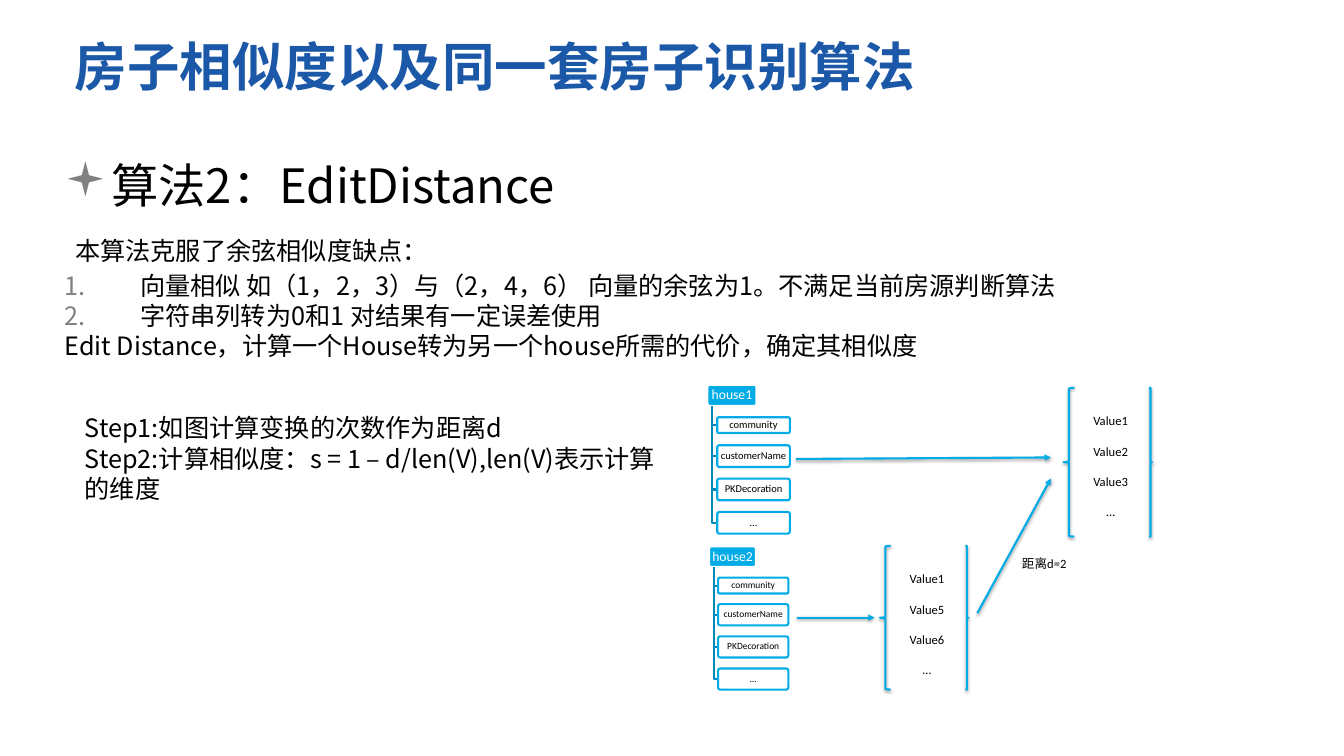
from lxml import etree
from pptx import Presentation
from pptx.dml.color import RGBColor
from pptx.enum.shapes import MSO_CONNECTOR, MSO_SHAPE
from pptx.enum.text import MSO_ANCHOR, PP_ALIGN
from pptx.oxml.ns import qn
from pptx.util import Cm, Pt

STRAIGHT = MSO_CONNECTOR.STRAIGHT
ROUNDED = MSO_SHAPE.ROUNDED_RECTANGLE
LEFT_BRACE, RIGHT_BRACE = MSO_SHAPE.LEFT_BRACE, MSO_SHAPE.RIGHT_BRACE
MIDDLE, CENTER = MSO_ANCHOR.MIDDLE, PP_ALIGN.CENTER

CHINESE_FONT, LATIN_FONT, BULLET_FONT = "Noto Sans CJK SC", "Calibri", "Wingdings"
CYAN, DARK_CYAN, BLUE = "00ABE6", "0089B8", "1B58A8"
BLACK, WHITE, GRAY = "000000", "FFFFFF", "808080"
FIELDS = ["community", "customerName", "PKDecoration", "…"]


def color(value):
    return RGBColor.from_string(value)


def child(parent, tag, **attributes):
    return etree.SubElement(parent, qn(tag), attributes)


def style_font(font, size, name=CHINESE_FONT, fill=BLACK, bold=False):
    font.size, font.name, font.bold = Pt(size), name, bold
    font.color.rgb = color(fill)
    child(font._element, "a:ea", typeface=CHINESE_FONT)


def set_line(shape, value):
    shape.line.color.rgb = color(value)
    shape.line.width = Pt(2)


def set_effects(shape, shadow=False):
    """Replace the theme shadow with none, or with a soft one below."""
    properties = shape._element.spPr
    effects = properties.find(qn("a:effectLst"))
    if effects is None:
        effects = child(properties, "a:effectLst")
    if shadow:
        outer = child(effects, "a:outerShdw", blurRad=str(Pt(3.1)), dist=str(Pt(1.6)),
                      dir="5400000", rotWithShape="0")
        child(child(outer, "a:srgbClr", val=BLACK), "a:alpha", val="38000")


def set_indent(paragraph, left, first=0):
    properties = paragraph._p.get_or_add_pPr()
    properties.set("marL", str(Cm(left)))
    properties.set("indent", str(Cm(first)))


def set_bullet(paragraph, tag, typeface, **attributes):
    properties = paragraph._p.get_or_add_pPr()
    bullet_color = etree.Element(qn("a:buClr"))
    child(bullet_color, "a:srgbClr", val=GRAY)
    bullet_font = etree.Element(qn("a:buFont"), typeface=typeface)
    bullet = etree.Element(qn(tag), attributes)
    default_run = properties.find(qn("a:defRPr"))
    for element in (bullet_color, bullet_font, bullet):
        default_run.addprevious(element)


def add_text(slide, box, lines, size, name=CHINESE_FONT, fill=BLACK, bold=False,
             spacing=1.0, alignment=None, indent=0, wrap=True):
    frame = slide.shapes.add_textbox(*map(Cm, box)).text_frame
    frame.word_wrap = wrap
    frame.text = "\n".join(lines)
    for paragraph in frame.paragraphs:
        paragraph.line_spacing, paragraph.alignment = spacing, alignment
        set_indent(paragraph, indent)
        style_font(paragraph.font, size, name, fill, bold)
    return frame


def add_body(slide):
    frame = add_text(slide, (1.83, 5.26, 41.07, 18.72), [
        "算法2：EditDistance",
        "",
        "向量相似 如（1，2，3）与（2，4，6） 向量的余弦为1。不满足当前房源判断算法",
        "字符串列转为0和1 对结果有一定误差使用",
        "Edit Distance，计算一个House转为另一个house所需的代价，确定其相似度",
    ], 24, indent=0.34)
    frame.margin_left = frame.margin_top = frame.margin_right = frame.margin_bottom = 0
    heading, introduction, *numbered, _ = frame.paragraphs

    heading.font.size = Pt(45)
    set_indent(heading, 1.88, -1.55)
    set_bullet(heading, "a:buChar", BULLET_FONT, char="▪")
    # The introduction opens with a wide space
    for text, size in ((" ", 45), ("本算法克服了余弦相似度缺点：", 24)):
        run = introduction.add_run()
        run.text = text
        style_font(run.font, size)
    for paragraph in numbered:
        set_indent(paragraph, 2.88, -2.54)
        set_bullet(paragraph, "a:buAutoNum", CHINESE_FONT, type="arabicPeriod")


def add_node(slide, box, text, size, fill, line, text_color):
    shape = slide.shapes.add_shape(ROUNDED, *map(Cm, box))
    shape.adjustments[0] = 0.1
    shape.fill.solid()
    shape.fill.fore_color.rgb = color(fill)
    set_line(shape, line)
    set_effects(shape)
    frame = shape.text_frame
    frame.margin_left = frame.margin_right = Cm(0.05)
    frame.margin_top = frame.margin_bottom = Cm(0.03)
    frame.vertical_anchor, frame.word_wrap = MIDDLE, False
    frame.text = text
    paragraph = frame.paragraphs[0]
    paragraph.alignment, paragraph.line_spacing = CENTER, 0.9
    style_font(paragraph.font, size, LATIN_FONT, text_color)


def add_branch(slide, trunk, top, right, middle):
    builder = slide.shapes.build_freeform(Cm(trunk), Cm(top))
    builder.add_line_segments([(Cm(trunk), Cm(middle)), (Cm(right), Cm(middle))], close=False)
    branch = builder.convert_to_shape()
    branch.fill.background()
    set_line(branch, DARK_CYAN)
    set_effects(branch)


def add_tree(slide, name, root, left, width, first_top, second_top, height, pitch, size):
    """Draw a house with its fields; the first field is a lower box."""
    add_node(slide, root, name, 13, CYAN, WHITE, WHITE)
    for index, field in enumerate(FIELDS):
        if index == 0:
            top, field_height = first_top, 0.53
        else:
            top, field_height = second_top + (index - 1) * pitch, height
        add_branch(slide, root[0] + 0.15, root[1] + root[3], left, top + field_height / 2)
        add_node(slide, (left, top, width, field_height), field, size, WHITE, CYAN, BLACK)


def add_vector(slide, left, top, height, values):
    for preset, offset, width in ((LEFT_BRACE, 0, 0.36), (RIGHT_BRACE, 2.87, 0.1)):
        brace = slide.shapes.add_shape(preset, Cm(left + offset), Cm(top), Cm(width), Cm(height))
        brace.fill.background()
        set_line(brace, CYAN)
        set_effects(brace, shadow=True)
    add_text(slide, (left + 0.69, top + 0.22, 1.78, 4.22), values, 12, LATIN_FONT,
             spacing=2.0, alignment=CENTER, wrap=False)


def add_arrow(slide, *ends):
    arrow = slide.shapes.add_connector(STRAIGHT, *map(Cm, ends))
    set_line(arrow, CYAN)
    child(arrow.line._get_or_add_ln(), "a:tailEnd", type="triangle")
    set_effects(arrow, shadow=True)


def main():
    presentation = Presentation()
    presentation.slide_width, presentation.slide_height = Cm(45.16), Cm(25.4)
    slide = presentation.slides.add_slide(presentation.slide_layouts[6])

    # Title and explanation
    add_body(slide)
    add_text(slide, (2.26, 1.02, 40.64, 4.24), ["房子相似度以及同一套房子识别算法"],
             50, fill=BLUE, bold=True)

    # Houses and their fields
    add_tree(slide, "house1", (23.77, 12.93, 1.65, 0.71), 24.1, 2.44,
             14.02, 14.96, 0.73, 1.12, 10)
    add_tree(slide, "house2", (23.83, 18.36, 1.57, 0.69), 24.13, 2.36,
             19.41, 20.3, 0.71, 1.08, 9)

    # Value vectors
    add_vector(slide, 35.74, 13.03, 5, ["Value1", "Value2", "Value3", "…"])
    add_vector(slide, 29.57, 18.34, 4.83, ["Value1", "Value5", "Value6", "…"])

    # Arrows and distance
    add_arrow(slide, 26.75, 15.42, 35.31, 15.37)
    add_arrow(slide, 26.77, 20.75, 29.39, 20.75)
    add_arrow(slide, 32.84, 20.6, 35.31, 16.08)
    add_text(slide, (34.09, 18.54, 2.62, 0.76), ["距离d=2"], 12, LATIN_FONT)

    # Steps
    add_text(slide, (2.26, 13.74, 20.5, 3.33), [
        "Step1:如图计算变换的次数作为距离d",
        "Step2:计算相似度：s = 1 – d/len(V),len(V)表示计算的维度",
    ], 24, indent=0.34)

    presentation.save("out.pptx")


if __name__ == "__main__":
    main()
